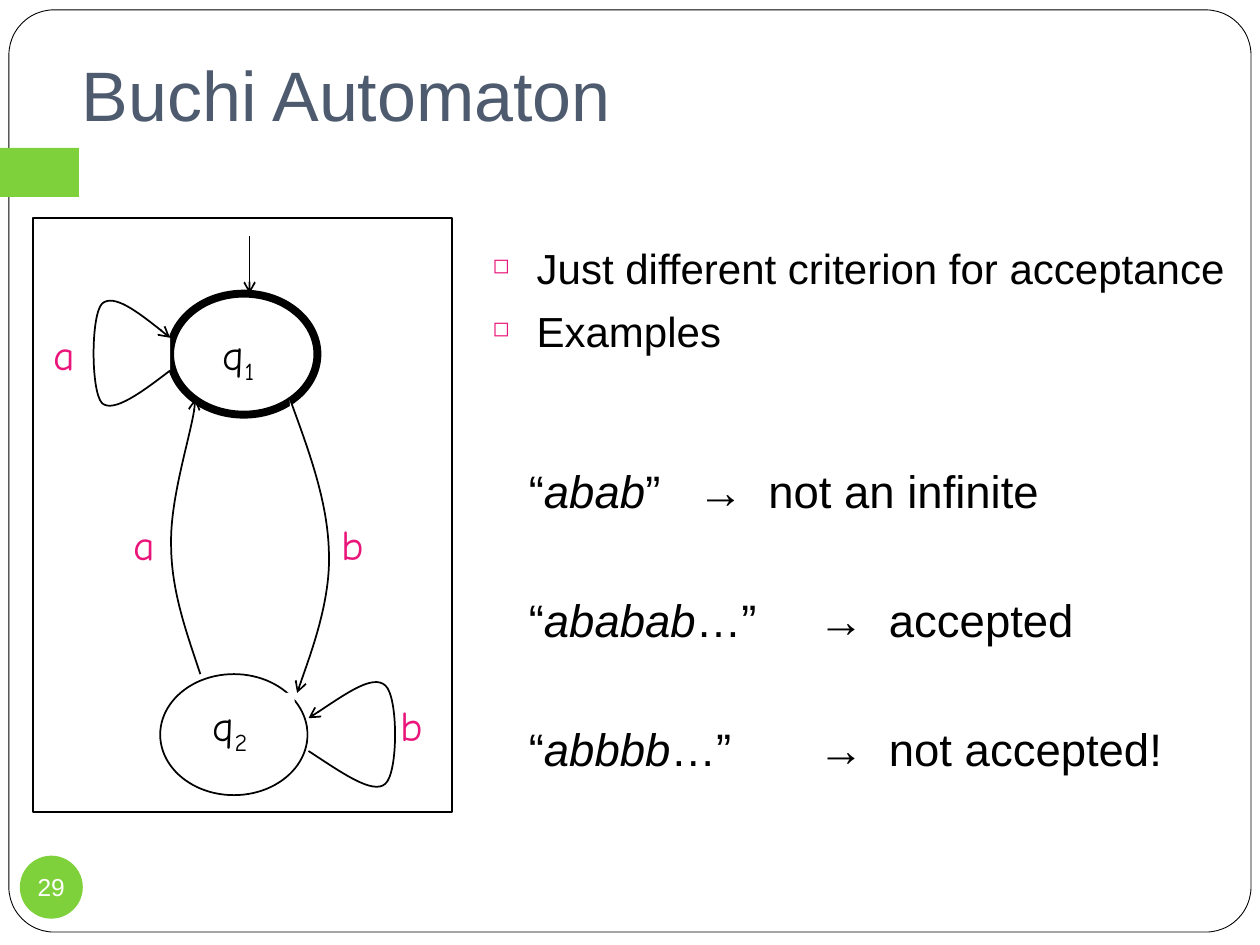
from lxml.etree import SubElement
from pptx import Presentation
from pptx.dml.color import RGBColor
from pptx.enum.shapes import MSO_CONNECTOR as CONN, MSO_SHAPE as SHAPE
from pptx.enum.text import MSO_ANCHOR as ANCHOR, PP_ALIGN as ALIGN
from pptx.oxml.ns import qn
from pptx.util import Cm, Pt

BLACK, WHITE, GREEN, PINK, SLATE = "000000", "FFFFFF", "7FD13B", "EA157A", "4E5B6F"


def rgb(color):
    return RGBColor.from_string(color)


def style_shape(s, fill=None, line=None, width=1):
    s.shadow.inherit = False
    if fill:
        s.fill.solid()
        s.fill.fore_color.rgb = rgb(fill)
    else:
        s.fill.background()
    if line:
        s.line.color.rgb = rgb(line)
        s.line.width = Pt(width)
    else:
        s.line.fill.background()


def add_shape(slide, kind, box, fill=None, line=None, width=1):
    s = slide.shapes.add_shape(kind, *map(Cm, box))
    style_shape(s, fill, line, width)
    return s


def add_textbox(slide, box):
    tf = slide.shapes.add_textbox(*map(Cm, box)).text_frame
    tf.word_wrap = True
    return tf


def add_run(p, text, size, color=BLACK, font="Arial", italic=False):
    r = p.add_run()
    r.text = text
    r.font.name, r.font.size, r.font.italic = font, Pt(size), italic
    r.font.color.rgb = rgb(color)
    return r


def add_paragraphs(tf, count, gap):
    """Return the paragraphs of a frame, spaced from the second one on."""
    paragraphs = [tf.paragraphs[0]] + [tf.add_paragraph() for _ in range(count - 1)]
    for p in paragraphs[1:]:
        p.space_before = Pt(gap)
    return paragraphs


def set_bullet(p, char, color, percent, indent):
    pPr = p._p.get_or_add_pPr()
    pPr.set("marL", str(Cm(indent)))
    pPr.set("indent", str(-Cm(indent)))
    SubElement(SubElement(pPr, qn("a:buClr")), qn("a:srgbClr"), val=color)
    SubElement(pPr, qn("a:buSzPct"), val=str(percent * 1000))
    SubElement(pPr, qn("a:buChar"), char=char)


def set_tabs(p, stops):
    tabs = SubElement(p._p.get_or_add_pPr(), qn("a:tabLst"))
    for stop in stops:
        SubElement(tabs, qn("a:tab"), pos=str(Cm(stop)), algn="l")


def add_arrowhead(s):
    SubElement(s.line._get_or_add_ln(), qn("a:tailEnd"), type="arrow")


def add_label(slide, box, text, color=PINK, sub=""):
    tf = add_shape(slide, SHAPE.RECTANGLE, box, WHITE).text_frame
    tf.word_wrap = True
    tf.vertical_anchor = ANCHOR.TOP
    p = tf.paragraphs[0]
    p.alignment = ALIGN.LEFT
    add_run(p, text, 24, color, "Comic Neue")
    if sub:
        r = add_run(p, sub, 24, color, "Comic Neue")
        r.font._element.set("baseline", "-25000")


def add_curve(slide, start, *points):
    """Draw an arrow along cubic curves: two controls and an end for each."""
    builder = slide.shapes.build_freeform(*map(Cm, start))
    builder.add_line_segments([tuple(map(Cm, xy)) for xy in points], close=False)
    s = builder.convert_to_shape()
    # Turn every three line segments into one cubic curve
    outline = s._element.spPr.find(".//" + qn("a:pathLst"))[0]
    segments = outline.findall(qn("a:lnTo"))
    for i in range(0, len(segments), 3):
        curve = SubElement(outline, qn("a:cubicBezTo"))
        for segment in segments[i:i + 3]:
            curve.append(segment[0])
            outline.remove(segment)
    style_shape(s, WHITE, BLACK)
    add_arrowhead(s)


def add_arrow(slide, start, end):
    s = slide.shapes.add_connector(CONN.STRAIGHT, *map(Cm, start + end))
    s.line.color.rgb = rgb(BLACK)
    s.line.width = Pt(1)
    add_arrowhead(s)
    SubElement(s._element.spPr, qn("a:effectLst"))


def add_frame(slide):
    s = add_shape(slide, SHAPE.ROUNDED_RECTANGLE, (0.18, 0.2, 25.04, 18.59), WHITE, BLACK, 0.5)
    s.adjustments[0] = 0.049
    add_shape(slide, SHAPE.RECTANGLE, (0, 2.98, 1.59, 0.99), GREEN)

    tf = add_textbox(slide, (1.4, 0.78, 23.22, 2.21))
    tf.vertical_anchor = ANCHOR.BOTTOM
    tf.margin_bottom = Cm(0.25)
    add_run(tf.paragraphs[0], "Buchi Automaton", 40, SLATE)

    # Slide number
    tf = add_shape(slide, SHAPE.OVAL, (0.4, 17.25, 1.27, 1.27), GREEN).text_frame
    tf.margin_left = tf.margin_right = tf.margin_top = tf.margin_bottom = 0
    tf.word_wrap = False
    tf.vertical_anchor = ANCHOR.MIDDLE
    tf.paragraphs[0].alignment = ALIGN.CENTER
    add_run(tf.paragraphs[0], "29", 14, WHITE)


def add_bullets(slide, items):
    tf = add_textbox(slide, (9.68, 4.77, 15.72, 3.23))
    for p, text in zip(add_paragraphs(tf, len(items), 7), items):
        set_bullet(p, "◻", PINK, 50, 0.89)
        add_run(p, text, 24)


def add_examples(slide, examples):
    tf = add_textbox(slide, (10.41, 9.21, 14.1, 8.89))
    for p, (word, rest, verdict, arrow_at) in zip(add_paragraphs(tf, len(examples), 42.5), examples):
        set_tabs(p, (arrow_at, arrow_at + 1.42))
        add_run(p, "“", 26)
        add_run(p, word, 26, italic=True)
        add_run(p, f"{rest}”\t→\t{verdict}", 26)


def add_automaton(slide):
    # States
    add_shape(slide, SHAPE.OVAL, (3.63, 6.1, 2.59, 2.01), WHITE, BLACK)
    add_shape(slide, SHAPE.OVAL, (3.43, 5.92, 2.97, 2.44), WHITE, BLACK, 4.5)
    add_shape(slide, SHAPE.OVAL, (3.23, 13.59, 2.97, 2.44), WHITE, BLACK)

    # State and transition labels
    add_label(slide, (4.24, 6.49, 1.4, 1.42), "q", BLACK, "1")
    add_label(slide, (4.04, 13.97, 1.9, 1.42), "q", BLACK, "2")
    for left, top in ((2.44, 10.33), (0.83, 6.49)):
        add_label(slide, (left, top, 1.19, 1.27), "a")
    for left, top in ((7.82, 13.97), (6.63, 10.33)):
        add_label(slide, (left, top, 1.47, 1.27), "b")

    # Transitions: loop on q2, q2 to q1, start, loop on q1, q1 to q2
    add_curve(slide, (6.22, 15.14),
              (6.88, 15.57), (7.52, 16.03), (7.77, 15.8),
              (8.03, 15.57), (8.03, 14.05), (7.77, 13.82),
              (7.52, 13.59), (6.88, 14.05), (6.22, 14.48))
    add_curve(slide, (4.04, 13.59),
              (3.76, 12.75), (3.45, 11.91), (3.45, 10.97),
              (3.43, 10.06), (3.94, 8.48), (3.94, 8.03))
    add_arrow(slide, (5.03, 4.75), (5.03, 5.92))
    add_curve(slide, (3.43, 7.47),
              (2.87, 7.9), (2.29, 8.33), (2.06, 8.13),
              (1.83, 7.9), (1.83, 6.35), (2.06, 6.12),
              (2.29, 5.92), (2.87, 6.35), (3.43, 6.81))
    add_curve(slide, (5.84, 8.03),
              (6.22, 9.07), (6.6, 10.08), (6.63, 11.1),
              (6.68, 12.09), (6.15, 13.49), (5.99, 13.97))

    # Border around the diagram
    add_shape(slide, SHAPE.RECTANGLE, (0.66, 4.4, 8.46, 11.97), None, BLACK)


def main():
    prs = Presentation()
    prs.slide_width, prs.slide_height = Cm(25.4), Cm(19.05)
    slide = prs.slides.add_slide(prs.slide_layouts[6])
    add_frame(slide)
    add_examples(slide, [
        ("abab", "", "not an infinite", 3.41),
        ("ababab", "…", "accepted", 5.84),
        ("abbbb", "…", "not accepted!", 5.84),
    ])
    add_bullets(slide, ["Just different criterion for acceptance", "Examples"])
    add_automaton(slide)
    prs.save("out.pptx")


if __name__ == "__main__":
    main()
